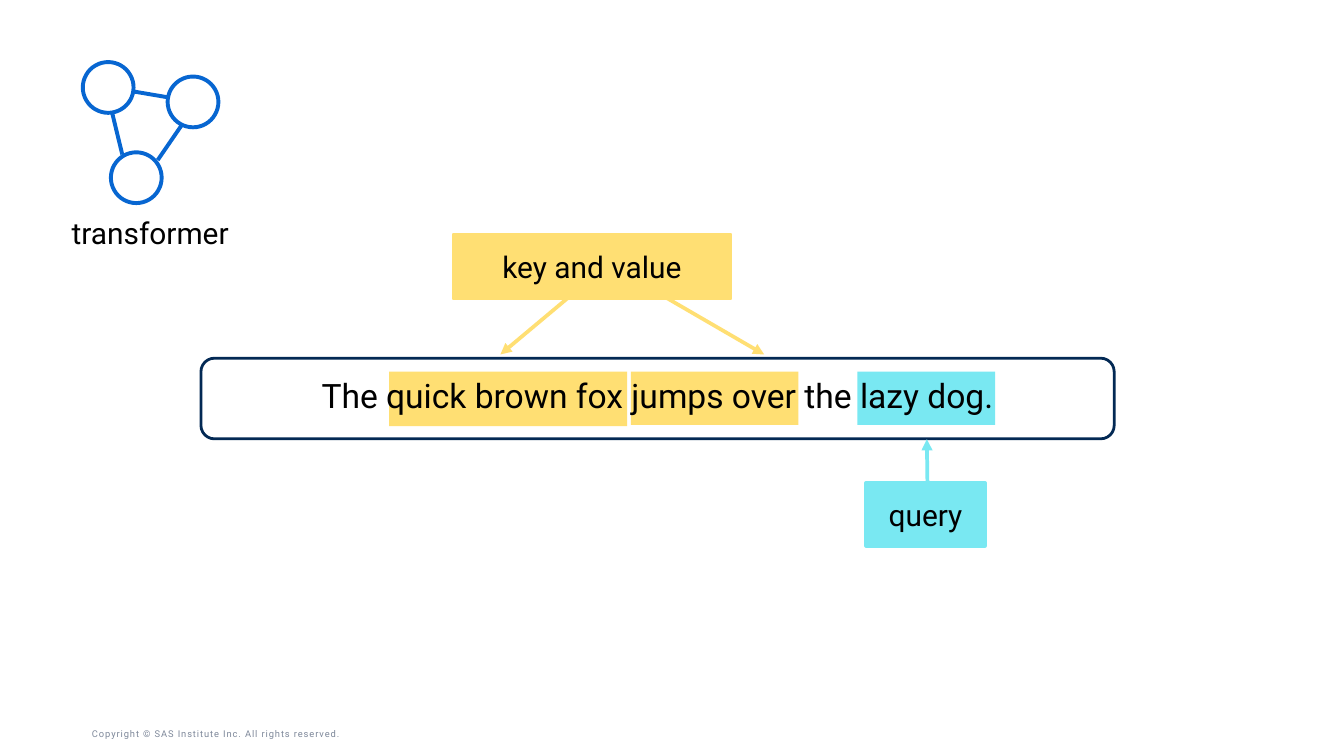
from lxml import etree
from pptx import Presentation
from pptx import util as u
from pptx.dml import color
from pptx.enum import shapes, text
from pptx.oxml import ns

YELLOW, CYAN, BLUE, NAVY, GREY, BLACK = (
    "FFDF73", "79E8F2", "0766D1", "032954", "7E889A", "000000")
KIND = shapes.MSO_SHAPE
ANCHOR = text.MSO_ANCHOR
CENTER = text.PP_ALIGN.CENTER


def rgb(code):
    return color.RGBColor.from_string(code)


def points(*sizes):
    return [u.Pt(size) for size in sizes]


def assign(target, values):
    for name, value in values.items():
        setattr(target, name, value)


def child(parent, tag, **attrs):
    return etree.SubElement(parent, ns.qn(tag), **attrs)


class Painter:
    font = "Roboto"

    def __init__(self, slide):
        self.slide = slide
        self.shapes = slide.shapes

    def stroke(self, line, code, width):
        line.color.rgb = rgb(code)
        line.width = u.Pt(width)

    def letter(self, shape, words, size, code=BLACK, inset=(0, 0, 0, 0),
               anchor=ANCHOR.MIDDLE, align=CENTER):
        """Fill the shape with one formatted paragraph and return it."""
        frame = shape.text_frame
        sides = ("margin_left", "margin_top", "margin_right", "margin_bottom")
        assign(frame, dict(zip(sides, points(*inset))))
        assign(frame, {"word_wrap": True, "vertical_anchor": anchor,
                       "auto_size": text.MSO_AUTO_SIZE.NONE})
        para = frame.paragraphs[0]
        para.alignment = align
        run = para.add_run()
        run.text = words
        assign(run.font, {"name": self.font, "size": u.Pt(size)})
        run.font.color.rgb = rgb(code)
        return para

    def label(self, box, words, size, **style):
        shape = self.shapes.add_textbox(*points(*box))
        return self.letter(shape, words, size, **style)

    def block(self, box, code, kind=KIND.RECTANGLE):
        shape = self.shapes.add_shape(kind, *points(*box))
        shape.shadow.inherit = False
        shape.fill.solid()
        shape.fill.fore_color.rgb = rgb(code)
        shape.line.fill.background()
        return shape

    def callout(self, box, words, code, adjust):
        """Add a filled box whose pointer ends in an arrowhead."""
        shape = self.block(box, code, KIND.LINE_CALLOUT_1)
        for i, value in enumerate(adjust):
            shape.adjustments[i] = value
        self.stroke(shape.line, code, 4)
        child(shape.line._get_or_add_ln(), "a:tailEnd", type="triangle")
        self.letter(shape, words, 32, inset=(13.6,) * 4)

    def ring(self, x, y, radius, code, width):
        box = (x - radius, y - radius, 2 * radius, 2 * radius)
        shape = self.block(box, code, KIND.OVAL)
        shape.fill.background()
        self.stroke(shape.line, code, width)

    def link(self, ends, code, width):
        line = self.shapes.add_connector(
            shapes.MSO_CONNECTOR.STRAIGHT, *points(*ends))
        self.stroke(line.line, code, width)
        child(line._element.spPr, "a:effectLst")

    def body(self, box, words):
        """Turn the body placeholder into a rounded frame on top."""
        shape = self.slide.placeholders[1]
        self.shapes._spTree.append(shape._element)
        names = ("left", "top", "width", "height")
        assign(shape, dict(zip(names, points(*box))))
        geom = child(shape._element.spPr, "a:prstGeom", prst="roundRect")
        child(geom, "a:avLst")
        self.stroke(shape.line, NAVY, 3)
        props = shape.text_frame.paragraphs[0]._p.get_or_add_pPr()
        for name in ("marL", "indent"):
            props.set(name, "0")
        child(props, "a:buNone")
        para = self.letter(shape, words, 36)
        assign(para, {"line_spacing": 0.85, "space_before": u.Pt(0)})


def main():
    deck = Presentation()
    deck.slide_width, deck.slide_height = points(1440, 810)
    slide = deck.slides.add_slide(deck.slide_layouts[1])
    title = slide.shapes.title._element
    title.getparent().remove(title)
    pen = Painter(slide)

    notice = pen.label(
        (98.6, 776.2, 396, 19.4),
        "Copyright © SAS Institute Inc. All rights reserved.", 10, code=GREY,
        inset=(0, 3.6, 7.2, 3.6), anchor=ANCHOR.BOTTOM,
        align=text.PP_ALIGN.LEFT)
    notice.runs[0].font._element.set("spc", "100")

    for left, width, height, code in (
            (676, 179.3, 57, YELLOW), (417, 255, 58.3, YELLOW),
            (918.7, 147.6, 57, CYAN)):
        pen.block((left, 398.2, width, height), code)
    pen.body((215.3, 383.8, 978.5, 86.4),
             "The quick brown fox jumps over the lazy dog.")

    pen.callout((928, 517.7, 127.4, 67), "query", CYAN,
                (0.607, 0.52, -0.703, 0.511))
    for start, end in ((0.52, 0.169), (0.615, 1.122)):
        pen.callout((486, 252, 296.6, 67), "key and value", YELLOW,
                    (0.607, start, 1.908, end))

    for x, y in ((115.9, 93.7), (206.8, 109.2), (146, 190.4)):
        pen.ring(x, y, 27.2, BLUE, 4.2)
    for ends in ((143, 98, 180, 104.3), (120.2, 121, 131, 165.5),
                 (194.4, 134.5, 169, 171.5)):
        pen.link(ends, BLUE, 4.2)
    pen.label((59.8, 229.7, 202.3, 38.9), "transformer", 32,
              anchor=ANCHOR.TOP)

    deck.save("out.pptx")


if __name__ == "__main__":
    main()
